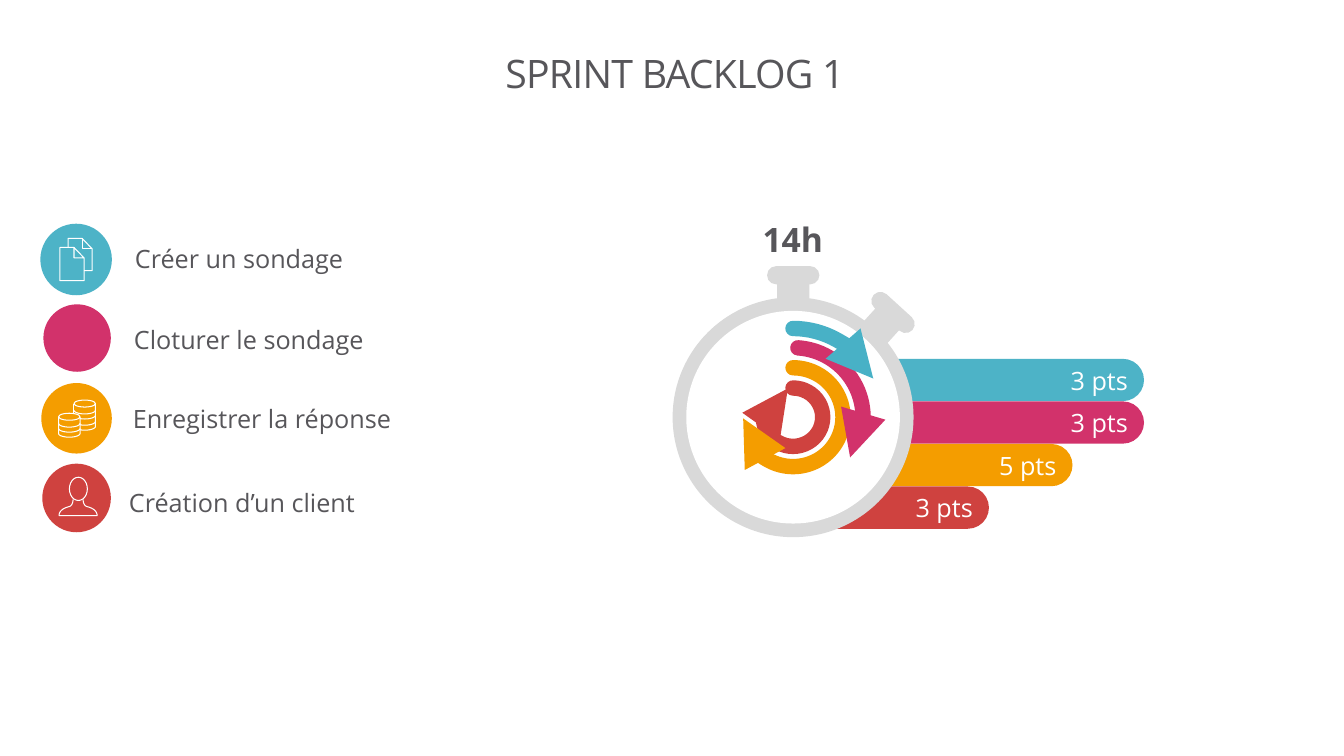
from math import cos, radians, sin

from pptx import Presentation
from pptx.dml.color import RGBColor
from pptx.enum.shapes import MSO_CONNECTOR, MSO_SHAPE as Shape
from pptx.enum.text import MSO_ANCHOR as Anchor, MSO_AUTO_SIZE as AutoSize, PP_ALIGN as Align
from pptx.oxml.ns import qn
from pptx.util import Pt
from lxml.etree import SubElement

FONT = "Open Sans"
COLORS = {"teal": "4DB3C7", "sky": "48B1C6", "pink": "D2326B", "amber": "F49D00",
          "red": "CF423F", "gray": "D9D9D9", "text": "57565A", "white": "FFFFFF"}

TITLE = ("SPRINT BACKLOG 1", (74.2, 22.3, 815.8, 64.1))
DURATION = ("14h", (463, 156.2, 206.6, 33.1))
STORIES = [
    ("Créer un sondage", (89.3, 172.8), "teal", (28.8, 159.8, 51.1)),
    ("Cloturer le sondage", (88.6, 230.4), "pink", (31, 217.4, 48.2)),
    ("Enregistrer la réponse", (87.8, 287.3), "amber", (29.5, 273.6, 50.4)),
    ("Création d’un client", (85, 347), "red", (30.2, 331.2, 49)),
]
BAR_TOP, BAR_STEP, BAR_HEIGHT = 256.3, 30.4, 30.2
BARS = [
    ("3 pts", "teal", 547.9, 817.2),
    ("3 pts", "pink", 547.9, 817.2),
    ("5 pts", "amber", 547.9, 766.1),
    ("3 pts", "red", 560.2, 706.4),
]
DIAL_CENTER = (566.5, 298)
DIAL = [(172.1, "gray"), (152.6, "white")]
ARROWS = [
    (42.4, "red", 162, 155.885),
    (71.3, "amber", 162, 107.175),
    (100, "pink", 164.406, 21.109),
    (127.4, "sky", 162, 200.57),
]
BUTTONS = [
    (Shape.ROUNDED_RECTANGLE, (547.9, 190.1, 37.4, 13), 0),
    (Shape.RECTANGLE, (555.1, 200.9, 23, 18.7), 0),
    (Shape.ROUNDED_RECTANGLE, (619.2, 216.7, 37.4, 13), 42.3),
    (Shape.RECTANGLE, (617, 224.6, 23, 18.7), 42.3),
]
PAGE_LINES = [
    [(52.9, 176.8), (60.1, 184.3), (60.1, 200.5), (42.8, 200.5), (42.8, 176.8),
     (52.9, 176.8), (52.9, 184.3), (60.1, 184.3)],
    [(48.6, 176.8), (48.6, 170.3), (58.7, 170.3), (65.9, 177.8), (65.9, 193.3), (60.1, 193.3)],
    [(58.7, 170.3), (58.7, 177.8), (65.9, 177.8)],
]
COIN_RADIUS, COIN_DEPTH = 7.7, 2.7
COINS = [
    (49.5, 297.7, 309.6, 180, [(302.4, 180), (306, 180)]),
    (60.5, 288.3, 304.6, 118, [(293, 180), (296.6, 118), (301, 118)]),
]
COIN_SIDE = (52.8, 288.3, 295.9)
HEAD = (49.6, 340.9, 12.8, 16.6)
SHOULDER = [
    [(52.2, 356.8), (52.2, 358.9), (51.4, 361.2), (49.7, 361.8)],
    [(49.7, 361.8), (45, 363), (42.3, 365), (42.2, 368.3)],
]
BODY_AXIS = 55.8

deck = Presentation()
deck.slide_width, deck.slide_height = Pt(960), Pt(540)
slide = deck.slides.add_slide(deck.slide_layouts[5])
shapes = slide.shapes


def color(name):
    return RGBColor.from_string(COLORS[name])


def add_solid(kind, frame, fill):
    shape = shapes.add_shape(kind, *map(Pt, frame))
    shape.shadow.inherit = False
    shape.fill.solid()
    shape.fill.fore_color.rgb = color(fill)
    shape.line.fill.background()
    if kind == Shape.ROUNDED_RECTANGLE:
        shape.adjustments[0] = 0.5
    return shape


def outline(shape, name="white", width=0.75):
    shape.shadow.inherit = False
    shape.fill.background()
    shape.line.color.rgb = color(name)
    shape.line.width = Pt(width)


def add_path(points):
    start, *rest = [(Pt(x), Pt(y)) for x, y in points]
    builder = shapes.build_freeform(*start)
    builder.add_line_segments(rest, close=False)
    outline(builder.convert_to_shape())


def add_oval(frame):
    outline(shapes.add_shape(Shape.OVAL, *map(Pt, frame)))


def centered(width):
    height = width - 0.7
    return DIAL_CENTER[0] - width / 2, DIAL_CENTER[1] - height / 2, width, height


def write(box, text, size, name, align=Align.LEFT, spacing=None, bold=False):
    box.text_frame.text = text
    para = box.text_frame.paragraphs[0]
    para.alignment = align
    if spacing:
        para.line_spacing = spacing
    para.font.name, para.font.size, para.font.bold = FONT, Pt(size), bold
    para.font.color.rgb = color(name)
    return para


def add_label(text, frame, size=18, align=Align.LEFT, bold=False):
    box = shapes.add_textbox(*map(Pt, frame))
    box.text_frame.word_wrap = True
    write(box, text, size, "text", align, 0.9, bold)


def rim(center, y, end):
    return [(center + COIN_RADIUS * cos(radians(end * i / 16)),
             y + COIN_DEPTH * sin(radians(end * i / 16))) for i in range(17)]


def bezier(a, b, c, d):
    steps = [i / 10 for i in range(11)]
    return [tuple((1 - t) ** 3 * p + 3 * (1 - t) ** 2 * t * q + 3 * (1 - t) * t * t * r + t ** 3 * s
                  for p, q, r, s in zip(a, b, c, d)) for t in steps]


title = shapes.title
title.left, title.top, title.width, title.height = map(Pt, TITLE[1])
frame = title.text_frame
frame.margin_left = frame.margin_right = frame.margin_top = frame.margin_bottom = 0
frame.vertical_anchor, frame.auto_size, frame.word_wrap = Anchor.MIDDLE, AutoSize.NONE, True
write(title, TITLE[0], 28, "text", Align.CENTER, 0.86).runs[0].font._element.set("spc", "-50")

for row, (points, fill, left, right) in enumerate(BARS):
    bar = add_solid(Shape.ROUNDED_RECTANGLE,
                    (left, BAR_TOP + row * BAR_STEP, right - left, BAR_HEIGHT), fill)
    bar.text_frame.vertical_anchor = Anchor.MIDDLE
    write(bar, points, 18, "white", Align.RIGHT)

add_solid(Shape.OVAL, centered(DIAL[0][0]), DIAL[0][1])
for kind, place, angle in BUTTONS:
    add_solid(kind, place, "gray").rotation = angle
add_solid(Shape.OVAL, centered(DIAL[1][0]), DIAL[1][1])

for diameter, name, start, end in ARROWS:
    arc = shapes.add_shape(Shape.ARC, *map(Pt, centered(diameter)))
    arc.adjustments[0], arc.adjustments[1] = start, end
    outline(arc, name, 11)
    stroke = arc.line._get_or_add_ln()
    stroke.set("cap", "rnd")
    SubElement(stroke, qn("a:tailEnd"), type="triangle")

add_label(*DURATION, size=24, align=Align.CENTER, bold=True)
for text, (left, top), fill, (x, y, diameter) in STORIES:
    add_label(text, (left, top, 206.6, 26.6))
    add_solid(Shape.OVAL, (x, y, diameter, diameter), fill)

for points in PAGE_LINES:
    add_path(points)

for center, top, bottom, end, bands in COINS:
    add_oval((center - COIN_RADIUS, top - 2.5, 2 * COIN_RADIUS, 5))
    left_side = [(center - COIN_RADIUS, top)] if end == 180 else []
    add_path([(center + COIN_RADIUS, top)] + rim(center, bottom, end) + left_side)
    for y, band_end in bands:
        add_path(rim(center, y, band_end))
x, top, bottom = COIN_SIDE
side = shapes.add_connector(MSO_CONNECTOR.STRAIGHT, Pt(x), Pt(top), Pt(x), Pt(bottom))
side.line.color.rgb, side.line.width = color("white"), Pt(0.75)
SubElement(side._element.spPr, qn("a:effectLst"))

add_oval(HEAD)
half = [point for curve in SHOULDER for point in bezier(*curve)]
add_path(half + [(2 * BODY_AXIS - x, y) for x, y in reversed(half)])

deck.save("out.pptx")
